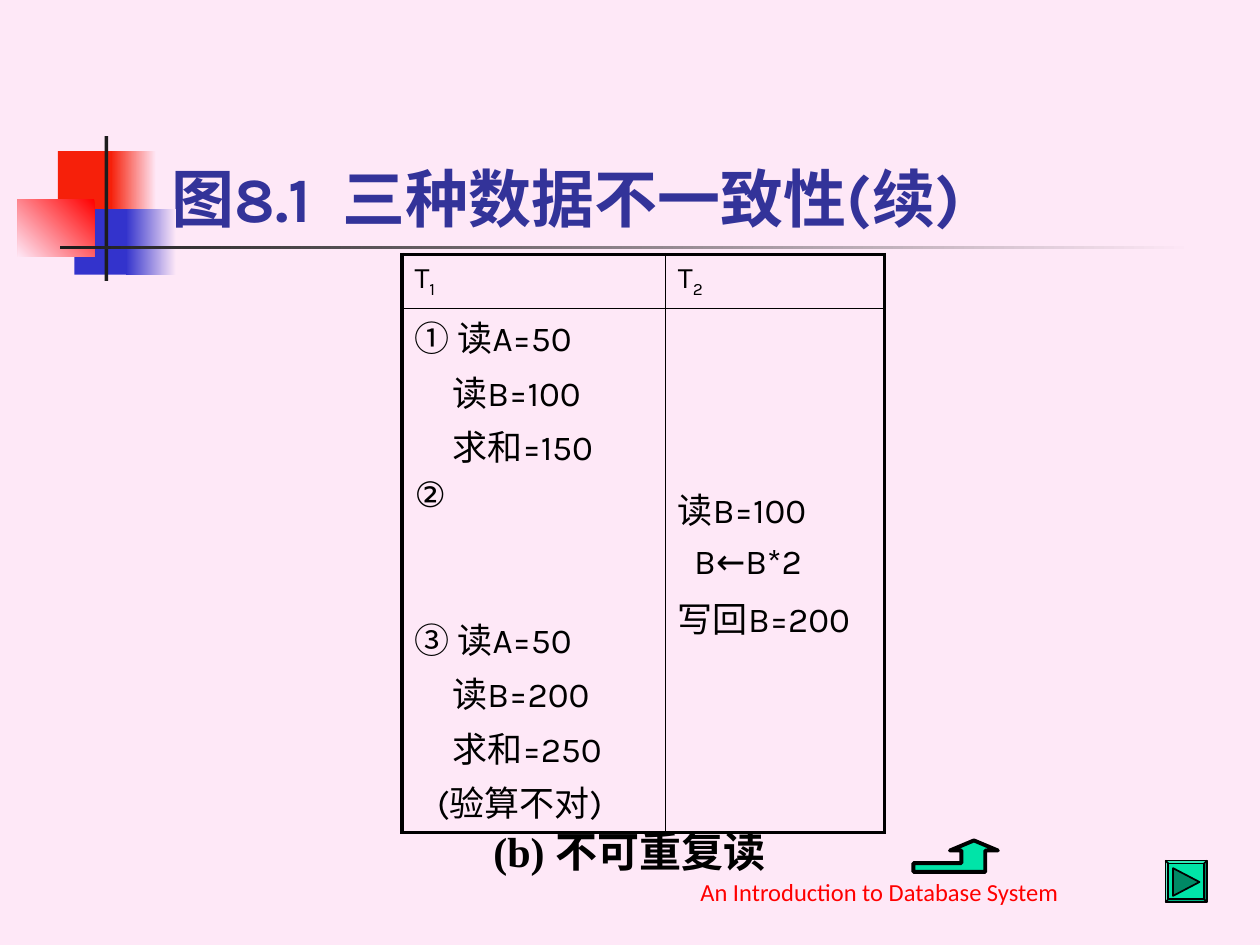
from dataclasses import dataclass

from lxml.etree import SubElement
from pptx import Presentation
from pptx.dml.color import RGBColor
from pptx.enum.shapes import MSO_SHAPE as Preset
from pptx.enum.text import MSO_ANCHOR as Anchor, MSO_AUTO_SIZE as AutoSize, PP_ALIGN as Align
from pptx.oxml.ns import qn
from pptx.util import Emu, Inches, Pt


@dataclass(frozen=True)
class Theme:
    background: str = "FEE8F7"
    title: str = "333399"
    ink: str = "000000"
    footer: str = "FF0000"
    red: str = "F6200A"
    bright_red: str = "FF0000"
    blue: str = "3333CC"
    dark: str = "1C1C1C"
    button: str = "00E4A8"
    button_dark: str = "008965"
    font: str = "Karla"
    caption_font: str = "Times New Roman"
    footer_font: str = "Calibri"
    title_size: float = 36
    caption_size: float = 24
    body_size: float = 20
    header_size: float = 17
    footer_size: float = 14
    thick: float = 2.25
    thin: float = 1


class SlideBuilder:
    def __init__(self, slide, theme):
        self.slide = slide
        self.theme = theme
        fill = slide.background.fill
        fill.solid()
        fill.fore_color.rgb = RGBColor.from_string(theme.background)

    def run(self, paragraph, text, size, color, font, bold=False, baseline=0):
        run = paragraph.add_run()
        run.text = text
        run.font.size = Pt(size)
        run.font.name = font
        run.font.bold = bold
        run.font.color.rgb = RGBColor.from_string(color)
        if baseline:
            run.font._element.set("baseline", str(baseline * 1000))

    def title(self, text, left, top, width, height):
        shape = self.slide.shapes.title
        shape.left, shape.top = Inches(left), Inches(top)
        shape.width, shape.height = Inches(width), Inches(height)
        frame = shape.text_frame
        frame.auto_size = AutoSize.NONE
        frame.vertical_anchor = Anchor.BOTTOM
        paragraph = frame.paragraphs[0]
        paragraph.alignment = Align.LEFT
        theme = self.theme
        self.run(paragraph, text, theme.title_size, theme.title, theme.font, bold=True)

    def label(self, text, box, size, color, font, anchor, bold=False, wrap=True):
        frame = self.slide.shapes.add_textbox(*map(Inches, box)).text_frame
        frame.word_wrap = wrap
        frame.vertical_anchor = anchor
        paragraph = frame.paragraphs[0]
        paragraph.alignment = Align.CENTER
        self.run(paragraph, text, size, color, font, bold)

    def paint(self, shape, color, line=0):
        shape.shadow.inherit = False
        shape.fill.solid()
        shape.fill.fore_color.rgb = RGBColor.from_string(color)
        if line:
            shape.line.color.rgb = RGBColor.from_string(self.theme.ink)
            shape.line.width = Pt(line)
        else:
            shape.line.fill.background()

    def block(self, box, color, line=0, preset=Preset.RECTANGLE):
        shape = self.slide.shapes.add_shape(preset, *map(Inches, box))
        self.paint(shape, color, line)
        return shape

    def fade(self, box, start, end, angle=180):
        shape = self.block(box, start)
        shape.fill.gradient()
        shape.fill.gradient_angle = angle
        for stop, color in zip(shape.fill.gradient_stops, (start, end)):
            stop.color.rgb = RGBColor.from_string(color)

    def outline(self, points, color, line):
        start, *rest = [(Inches(x), Inches(y)) for x, y in points]
        builder = self.slide.shapes.build_freeform(*start, scale=1.0)
        builder.add_line_segments(rest, close=True)
        self.paint(builder.convert_to_shape(), color, line)

    def border(self, cell, side, width):
        line = SubElement(cell._tc.get_or_add_tcPr(), qn(f"a:ln{side}"), w=str(Pt(width)))
        fill = SubElement(line, qn("a:solidFill"))
        SubElement(fill, qn("a:srgbClr"), val=self.theme.ink)

    def table(self, left, top, widths, heights):
        rows, columns = len(heights), len(widths)
        box = (left, top, sum(widths), sum(heights))
        table = self.slide.shapes.add_table(rows, columns, *map(Inches, box)).table
        table.first_row = table.horz_banding = False
        for column, width in zip(table.columns, widths):
            column.width = Inches(width)
        for row, height in zip(table.rows, heights):
            row.height = Inches(height)
        for row in range(rows):
            for column in range(columns):
                cell = table.cell(row, column)
                edges = {"L": column == 0, "R": column == columns - 1,
                         "T": row == 0, "B": row == rows - 1}
                for side, outer in edges.items():
                    self.border(cell, side, self.theme.thick if outer else self.theme.thin)
                cell.fill.background()
        return table

    def header(self, cell, name, index):
        theme = self.theme
        paragraph = cell.text_frame.paragraphs[0]
        paragraph.line_spacing = 0.9
        self.run(paragraph, name, theme.header_size, theme.ink, theme.font)
        self.run(paragraph, index, theme.header_size, theme.ink, theme.font, baseline=-25)

    def steps(self, cell, lines, spacing, top=0.05):
        cell.margin_top = Inches(top)
        frame = cell.text_frame
        theme = self.theme
        for number, (text, indent, before) in enumerate(lines):
            paragraph = frame.paragraphs[0] if number == 0 else frame.add_paragraph()
            paragraph.line_spacing = spacing
            paragraph.space_before = Pt(before)
            paragraph._p.get_or_add_pPr().set("marL", str(Emu(Inches(indent))))
            self.run(paragraph, text, theme.body_size, theme.ink, theme.font)


def main():
    theme = Theme()
    presentation = Presentation()
    presentation.slide_width, presentation.slide_height = Inches(10), Inches(7.5)
    slide = presentation.slides.add_slide(presentation.slide_layouts[5])
    builder = SlideBuilder(slide, theme)

    builder.block((0.46, 1.2, 0.48, 0.52), theme.red)
    builder.fade((0.88, 1.2, 0.36, 0.52), theme.background, theme.red)
    builder.block((0.59, 1.66, 0.46, 0.52), theme.blue)
    builder.fade((1, 1.66, 0.4, 0.52), theme.background, theme.blue)
    builder.fade((0.14, 1.58, 0.61, 0.46), theme.bright_red, theme.background, 225)
    builder.block((0.83, 1.08, 0.03, 1.15), theme.dark)
    builder.fade((0.48, 1.95, 9, 0.03), theme.background, theme.dark)
    builder.title("图8.1  三种数据不一致性(续)", 1.26, 0.67, 8.52, 1.25)

    table = builder.table(3.19, 2.02, (2.09, 1.74), (0.43, 4.03))
    for column, index in enumerate("12"):
        builder.header(table.cell(0, column), "T", index)
    builder.steps(table.cell(1, 0), [
        ("① 读A=50", 0, 0),
        ("读B=100", 0.3, 5),
        ("求和=150", 0.3, 5),
        ("②", 0, 5),
        ("③ 读A=50", 0, 58),
        ("读B=200", 0.3, 5),
        ("求和=250", 0.3, 5),
        ("(验算不对)", 0.18, 5),
    ], 0.9)
    builder.steps(table.cell(1, 1), [
        ("读B=100", 0, 0),
        ("B←B*2", 0.13, 5),
        ("写回B=200", 0, 5),
    ], 1.0, top=1.38)

    builder.label("(b) 不可重复读", (3.58, 6.42, 2.83, 0.67), theme.caption_size, theme.ink,
                  theme.caption_font, Anchor.MIDDLE, bold=True, wrap=False)
    builder.outline([(7.25, 6.85), (7.63, 6.85), (7.63, 6.75), (7.54, 6.75), (7.73, 6.67),
                     (7.92, 6.75), (7.82, 6.75), (7.82, 6.92), (7.25, 6.92)],
                    theme.button, theme.thick)
    button = builder.block((9.25, 6.83, 0.33, 0.33), theme.button, theme.thin, Preset.BEVEL)
    button.adjustments[0] = 0.07
    builder.outline([(9.31, 6.89), (9.52, 7), (9.31, 7.11)], theme.button_dark, theme.thin)
    builder.label("An Introduction to Database System", (4.37, 6.74, 5.22, 0.5),
                  theme.footer_size, theme.footer, theme.footer_font, Anchor.BOTTOM)
    presentation.save("out.pptx")


if __name__ == "__main__":
    main()
